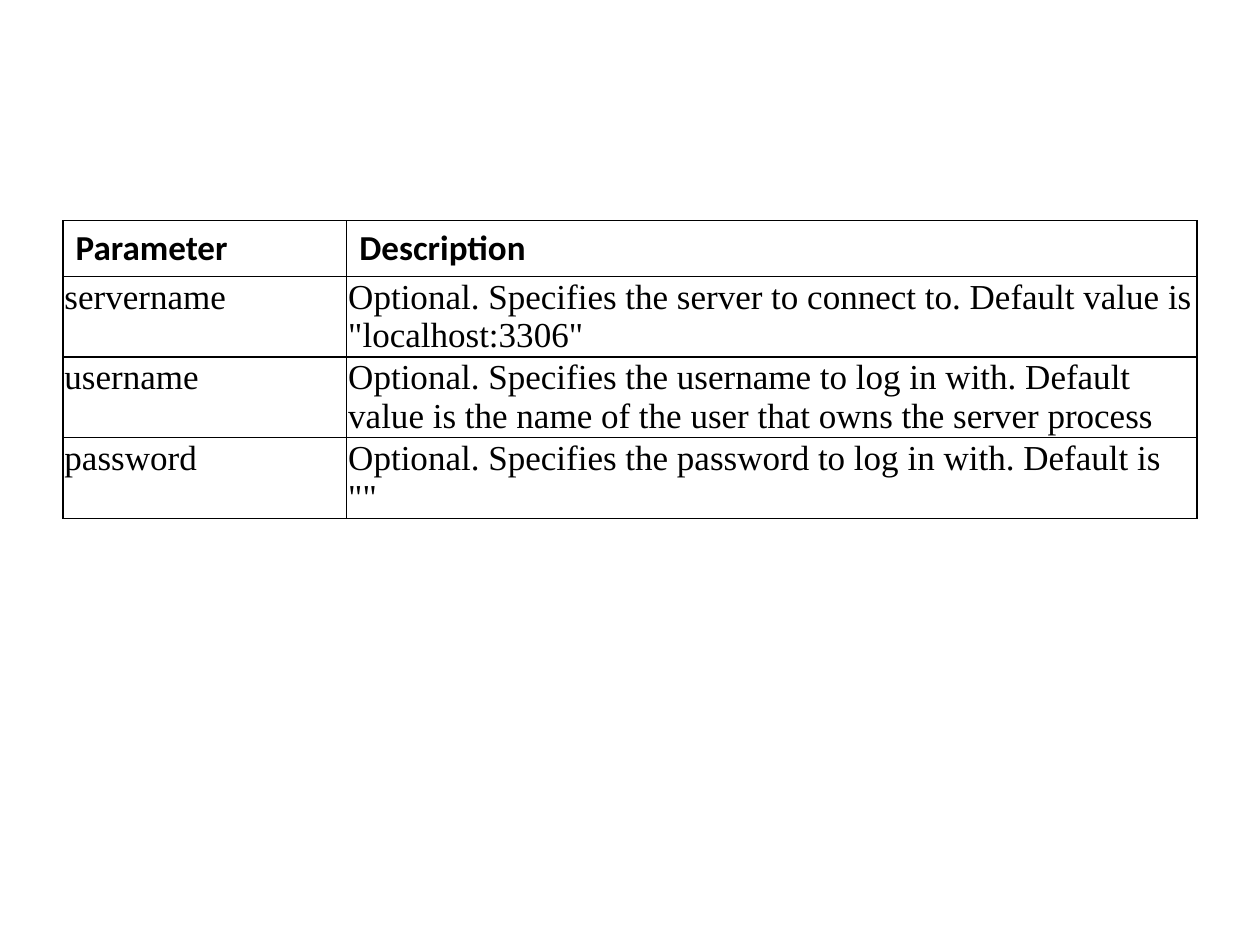
from lxml import etree
from pptx import Presentation
from pptx.dml.color import RGBColor
from pptx.oxml.ns import qn
from pptx.util import Cm, Pt

# Content
HEAD = ("Parameter", "Description")
ROWS = [
    ("servername", 'Optional. Specifies the server to connect to. '
                   'Default value is "localhost:3306"'),
    ("username", "Optional. Specifies the username to log in with. "
                 "Default value is the name of the user that owns the server process"),
    ("password", 'Optional. Specifies the password to log in with. Default is ""'),
]
WIDTHS = (5.72, 17.14)
ROW_H = 1.04
INK, PAPER = "000000", "FFFFFF"


def color(code):
    return RGBColor.from_string(code)


def border(cell):
    props = cell._tc.get_or_add_tcPr()
    for i, side in enumerate(("lnL", "lnR", "lnT", "lnB")):
        line = etree.Element(qn("a:" + side), w=str(Pt(1)))
        fill = etree.SubElement(line, qn("a:solidFill"))
        etree.SubElement(fill, qn("a:srgbClr"), val=INK)
        props.insert(i, line)


def write(cell, text, head):
    cell.fill.solid()
    cell.fill.fore_color.rgb = color(PAPER)
    border(cell)
    if not head:
        cell.margin_left = cell.margin_right = Cm(0.03)
        cell.margin_top = cell.margin_bottom = Cm(0.03)
    cell.text_frame.text = text
    font = cell.text_frame.paragraphs[0].runs[0].font
    font.name = "Calibri" if head else "Times New Roman"
    font.size = Pt(20)
    font.bold = head
    font.color.rgb = color(INK)


# Slide
deck = Presentation()
deck.slide_width, deck.slide_height = Cm(25.4), Cm(19.05)
slide = deck.slides.add_slide(deck.slide_layouts[6])

# Parameter table
lines = [HEAD] + ROWS
frame = slide.shapes.add_table(len(lines), len(HEAD), Cm(1.27), Cm(4.45),
                               Cm(sum(WIDTHS)), Cm(ROW_H * len(lines)))
table = frame.table
for col, width in zip(table.columns, WIDTHS):
    col.width = Cm(width)
for r, line in enumerate(lines):
    table.rows[r].height = Cm(ROW_H)
    for c, text in enumerate(line):
        write(table.cell(r, c), text, r == 0)
frame.height = Cm(5.61)

deck.save("out.pptx")
